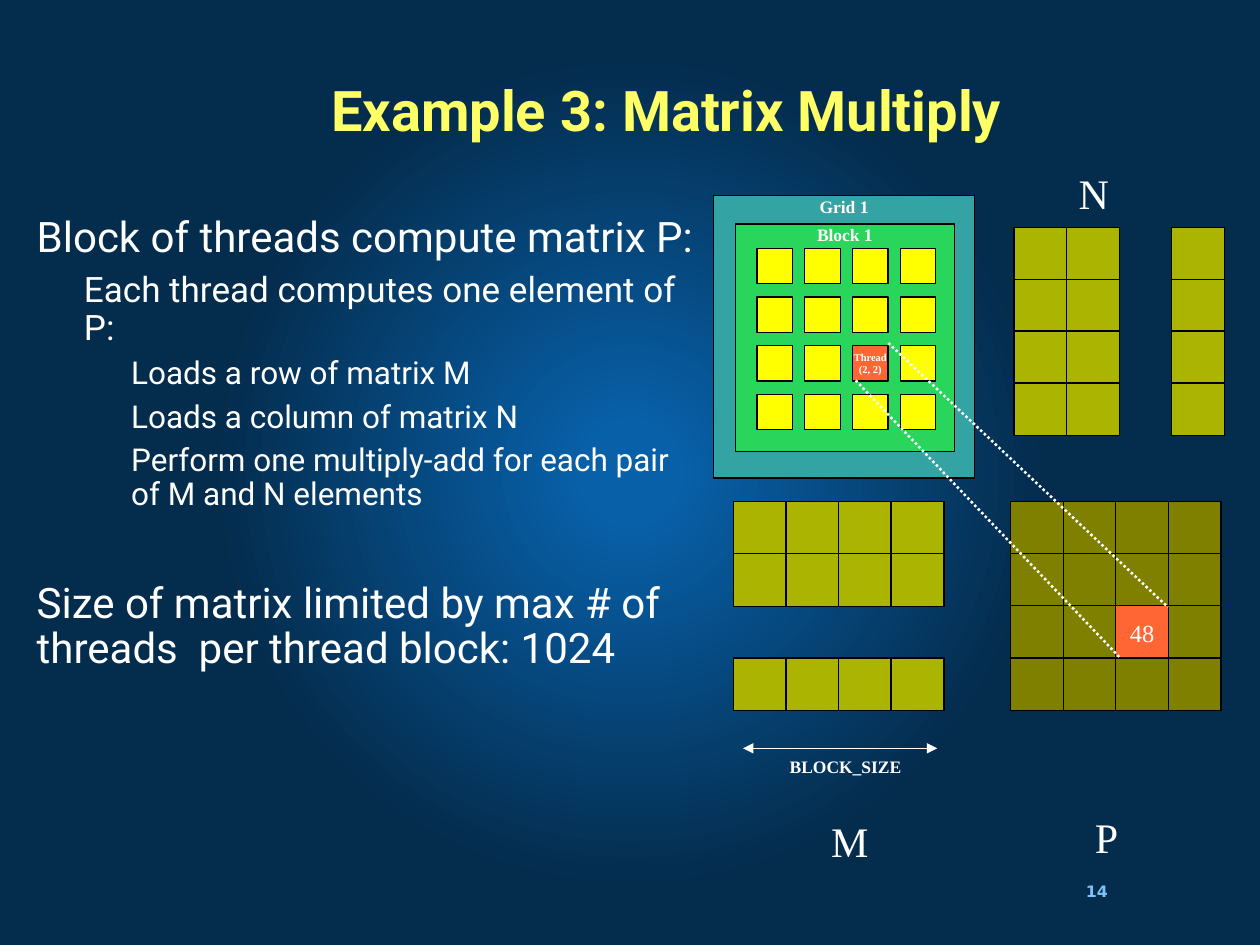
import pptx
import pptx.util
import pptx.dml.color
import pptx.enum.dml
import pptx.enum.shapes
import pptx.enum.text
import pptx.oxml
import pptx.oxml.ns

Pt = pptx.util.Pt
qn = pptx.oxml.ns.qn
CENTER = pptx.enum.text.PP_ALIGN.CENTER
LEFT = pptx.enum.text.PP_ALIGN.LEFT
MIDDLE = pptx.enum.text.MSO_ANCHOR.MIDDLE
TOP = pptx.enum.text.MSO_ANCHOR.TOP
SERIF = "Times New Roman"
NS = 'xmlns:a="http://schemas.openxmlformats.org/drawingml/2006/main"'
color = pptx.dml.color.RGBColor.from_string


def write(frame, lines, size, font=SERIF, ink="FFFFFF", bold=False, align=CENTER, anchor=TOP):
    frame_format = {"word_wrap": True, "vertical_anchor": anchor, "margin_left": 0,
                    "margin_right": 0, "margin_top": 0, "margin_bottom": 0}
    for key, value in frame_format.items():
        setattr(frame, key, value)
    frame.text = "\n".join(lines)
    for paragraph in frame.paragraphs:
        paragraph.alignment = align
        for key, value in {"name": font, "size": Pt(size), "bold": bold}.items():
            setattr(paragraph.runs[0].font, key, value)
        paragraph.runs[0].font.color.rgb = color(ink)


def add_block(left, top, width, height, fill):
    block = slide.shapes.add_shape(pptx.enum.shapes.MSO_SHAPE.RECTANGLE,
                                   Pt(left), Pt(top), Pt(width), Pt(height))
    block.shadow.inherit = False
    block.fill.solid()
    block.fill.fore_color.rgb = color(fill)
    block.line.color.rgb = color("000000")
    block.line.width = Pt(0.75)
    return block


deck = pptx.Presentation()
deck.slide_width, deck.slide_height = Pt(720), Pt(540)
slide = deck.slides.add_slide(deck.slide_layouts[6])

backdrop = slide.background.fill
backdrop.gradient()
for stop, position, shade in zip(backdrop.gradient_stops, (0.06, 0.53), ("0860A8", "042C4D")):
    stop.position = position
    stop.color.rgb = color(shade)
gradient = slide.background._cSld.find(".//" + qn("a:gradFill"))
gradient.replace(gradient.find(qn("a:lin")), pptx.oxml.parse_xml(
    f'<a:path {NS} path="circle"><a:fillToRect l="50000" t="50000" r="50000" b="50000"/></a:path>'))

labels = [
    ("14", 610.5, 497, 32.5, 24,
     dict(size=9, font="DejaVu Sans", ink="7FC2F9", bold=True, anchor=MIDDLE)),
    ("Example 3: Matrix Multiply", 54, 45, 654, 35,
     dict(size=32, font="Roboto", ink="FFFF66", bold=True, anchor=MIDDLE)),
    ("BLOCK_SIZE", 451.3, 432, 75, 37, dict(size=10, bold=True, align=LEFT)),
    ("M", 475, 466, 53, 33, dict(size=24, align=LEFT)),
    ("P", 625.7, 463.7, 58, 33, dict(size=24, align=LEFT)),
    ("N", 616.3, 95.8, 46, 33, dict(size=24, align=LEFT)),
]
for text, left, top, width, height, style in labels:
    label = slide.shapes.add_textbox(Pt(left), Pt(top), Pt(width), Pt(height))
    write(label.text_frame, [text], **style)

points = [
    ("Block of threads compute matrix P:", 24, 0, 0),
    ("Each thread computes one element of P:", 20, 27, 6),
    ("Loads a row of matrix M", 18, 54, 5.4),
    ("Loads a column of matrix N", 18, 54, 5.4),
    ("Perform one multiply-add for each pair of M and N elements", 18, 54, 5.4),
    ("Size of matrix limited by max # of threads  per thread block: 1024", 24, 0, 39.6),
]
body = slide.shapes.add_textbox(Pt(13.9), Pt(120.2), Pt(394), Pt(372)).text_frame
write(body, [point[0] for point in points], 24, font="Roboto", align=LEFT)
for key, value in {"margin_left": 7.2, "margin_right": 7.2, "margin_top": 3.6, "margin_bottom": 3.6}.items():
    setattr(body, key, Pt(value))
for paragraph, (text, size, indent, gap) in zip(body.paragraphs, points):
    paragraph._p.get_or_add_pPr().set("marL", str(Pt(indent)))
    paragraph.line_spacing = 0.9
    paragraph.space_before = Pt(gap)
    paragraph.runs[0].font.size = Pt(size)

grid = add_block(407.6, 111.8, 149.4, 161.4, "33A3A3")
write(grid.text_frame, ["Grid 1"], 10, bold=True)
thread_block = add_block(420.3, 128, 125, 130.2, "23FF23")
write(thread_block.text_frame, ["Block 1"], 10, bold=True)
block_color = thread_block.fill._xPr.find(".//" + qn("a:srgbClr"))
block_color.append(pptx.oxml.parse_xml(f'<a:alpha {NS} val="55000"/>'))

matrices = [
    (419.2, 286.6, 30, 29.8, 30.2, (0, 1, 3), range(4), "ABB400", None, 0),
    (579.5, 130, 30, 29.6, 30.2, range(4), (0, 1, 3), "ABB400", None, 0),
    (577.6, 286.6, 30, 29.8, 30.2, range(4), range(4), "808000", ["48"], 14),
    (432.6, 141.9, 27.3, 27.8, 20.3, range(4), range(4), "FFFF00", ["Thread", "(2, 2)"], 6),
]
for left, top, pitch_x, pitch_y, side, rows, columns, fill, result, size in matrices:
    for row in rows:
        for column in columns:
            marked = result and (row, column) == (2, 2)
            cell = add_block(left + column * pitch_x, top + row * pitch_y, side, side,
                             "FF6633" if marked else fill)
            if marked:
                write(cell.text_frame, result, size, bold=size == 6, anchor=MIDDLE)

lines = [
    (489, 217.4, 640, 375.8, 1.45, True),
    (507.6, 196, 667.4, 347, 1.45, True),
    (424.6, 427.6, 535.6, 427.6, 0.75, False),
]
for x1, y1, x2, y2, weight, dotted in lines:
    connector = slide.shapes.add_connector(pptx.enum.shapes.MSO_CONNECTOR.STRAIGHT,
                                           Pt(x1), Pt(y1), Pt(x2), Pt(y2))
    connector.line.color.rgb = color("FFFFFF")
    connector.line.width = Pt(weight)
    if dotted:
        connector.line.dash_style = pptx.enum.dml.MSO_LINE.ROUND_DOT
    else:
        for end in ("headEnd", "tailEnd"):
            connector.line._get_or_add_ln().append(
                pptx.oxml.parse_xml(f'<a:{end} {NS} type="triangle"/>'))
    connector._element.spPr.append(pptx.oxml.parse_xml(f"<a:effectLst {NS}/>"))

deck.save("out.pptx")
